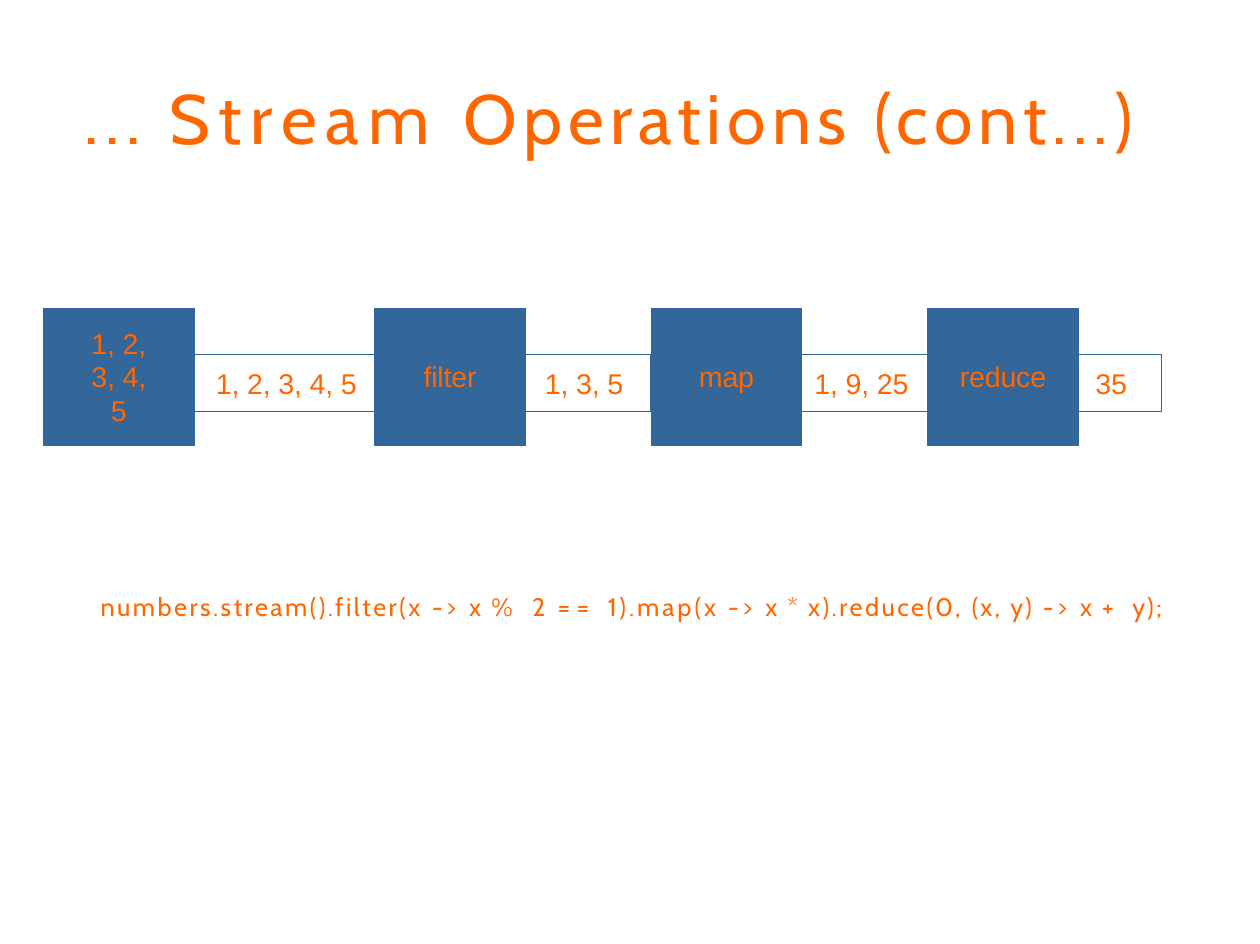
from dataclasses import dataclass

from pptx import Presentation
from pptx.dml.color import RGBColor
from pptx.enum.shapes import MSO_SHAPE
from pptx.enum.text import MSO_ANCHOR, PP_ALIGN
from pptx.util import Inches, Pt

RECT = MSO_SHAPE.RECTANGLE
CENTER, LEFT = PP_ALIGN.CENTER, PP_ALIGN.LEFT
MIDDLE, TOP = MSO_ANCHOR.MIDDLE, MSO_ANCHOR.TOP

ORANGE, BLUE, LINE_BLUE = "FF6600", "336699", "3364A3"
STAGE_TOP, STAGE_W, STAGE_H = 2.7, 1.32, 1.2
PIPE_TOP, PIPE_H, PIPE_END = 3.1, 0.5, 10.17


@dataclass
class Span:
    text: str
    spacing: float = -0.1


@dataclass
class Stage:
    left: float
    label: list[str]
    output: str
    indent: float


@dataclass
class Line:
    left: float
    top: float
    width: float
    height: float
    size: float
    spans: list[Span]


STAGES = [
    Stage(0.38, ["1, 2,", "3, 4,", "5"], "1, 2, 3, 4, 5", 0.19),
    Stage(3.28, ["filter"], "1, 3, 5", 0.17),
    Stage(5.7, ["map"], "1, 9, 25", 0.11),
    Stage(8.12, ["reduce"], "35", 0.15),
]

TITLE = Line(0.73, 0.64, 9.4, 0.76, 44, [
    Span("... ", 4.2), Span("Stream ", 5.7), Span("Operations (cont...)", 3.9),
])

CODE = Line(0.87, 5.16, 9.32, 0.29, 16, [
    Span("numbers.stream().filter(x ", 1.6), Span("-> ", 2.2), Span("x ", 1.4),
    Span("% ", 4.3), Span("2 ", 2.1), Span("== ", 4), Span("1).map(x ", 1.9),
    Span("-> ", 2.2), Span("x ", 1.4), Span("* ", 1.3),
    Span("x).reduce(0, ", 1.6), Span("(x, ", 1.4), Span("y) ", 1.7),
    Span("-> ", 2.2), Span("x ", 1.4), Span("+ ", 4), Span("y);", 1.7),
])


def color(value: str) -> RGBColor:
    return RGBColor.from_string(value)


def setup_frame(tf, left: float, top: float, anchor) -> None:
    tf.word_wrap = True
    tf.margin_left, tf.margin_top = Inches(left), Inches(top)
    tf.margin_right = tf.margin_bottom = 0
    tf.vertical_anchor = anchor


def add_spans(p, spans: list[Span], size: float, font: str, align) -> None:
    p.alignment = align
    for span in spans:
        r = p.add_run()
        r.text = span.text
        r.font.size = Pt(size)
        r.font.name = font
        r.font.color.rgb = color(ORANGE)
        r.font._element.set("spc", str(round(span.spacing * 100)))


def add_box(s, left: float, top: float, width: float, height: float):
    sp = s.shapes.add_shape(
        RECT, Inches(left), Inches(top), Inches(width), Inches(height))
    sp.shadow.inherit = False
    sp.fill.background()
    sp.line.color.rgb = color(LINE_BLUE)
    sp.line.width = Pt(0.75)
    return sp


def add_line(s, line: Line) -> None:
    sp = s.shapes.add_textbox(Inches(line.left), Inches(line.top),
                              Inches(line.width), Inches(line.height))
    tf = sp.text_frame
    setup_frame(tf, 0.01, 0.01, TOP)
    add_spans(tf.paragraphs[0], line.spans, line.size, "Cabin", LEFT)


def add_stage(s, stage: Stage) -> None:
    sp = add_box(s, stage.left, STAGE_TOP, STAGE_W, STAGE_H)
    sp.fill.solid()
    sp.fill.fore_color.rgb = color(BLUE)
    tf = sp.text_frame
    setup_frame(tf, 0, 0, MIDDLE)
    for i, text in enumerate(stage.label):
        p = tf.add_paragraph() if i else tf.paragraphs[0]
        p.line_spacing = Pt(20.9)
        add_spans(p, [Span(text)], 18, "Arial", CENTER)


def add_pipe(s, stage: Stage, end: float) -> None:
    left = stage.left + STAGE_W
    sp = add_box(s, left, PIPE_TOP, end - left, PIPE_H)
    tf = sp.text_frame
    setup_frame(tf, stage.indent, 0.1, TOP)
    add_spans(tf.paragraphs[0], [Span(stage.output)], 18, "Arial", LEFT)


def main() -> None:
    prs = Presentation()
    prs.slide_width, prs.slide_height = Inches(11.03), Inches(8.26)
    s = prs.slides.add_slide(prs.slide_layouts[6])
    add_line(s, TITLE)
    ends = [stage.left for stage in STAGES[1:]] + [PIPE_END]
    for stage, end in zip(STAGES, ends):
        add_stage(s, stage)
        add_pipe(s, stage, end)
    add_line(s, CODE)
    prs.save("out.pptx")


if __name__ == "__main__":
    main()
